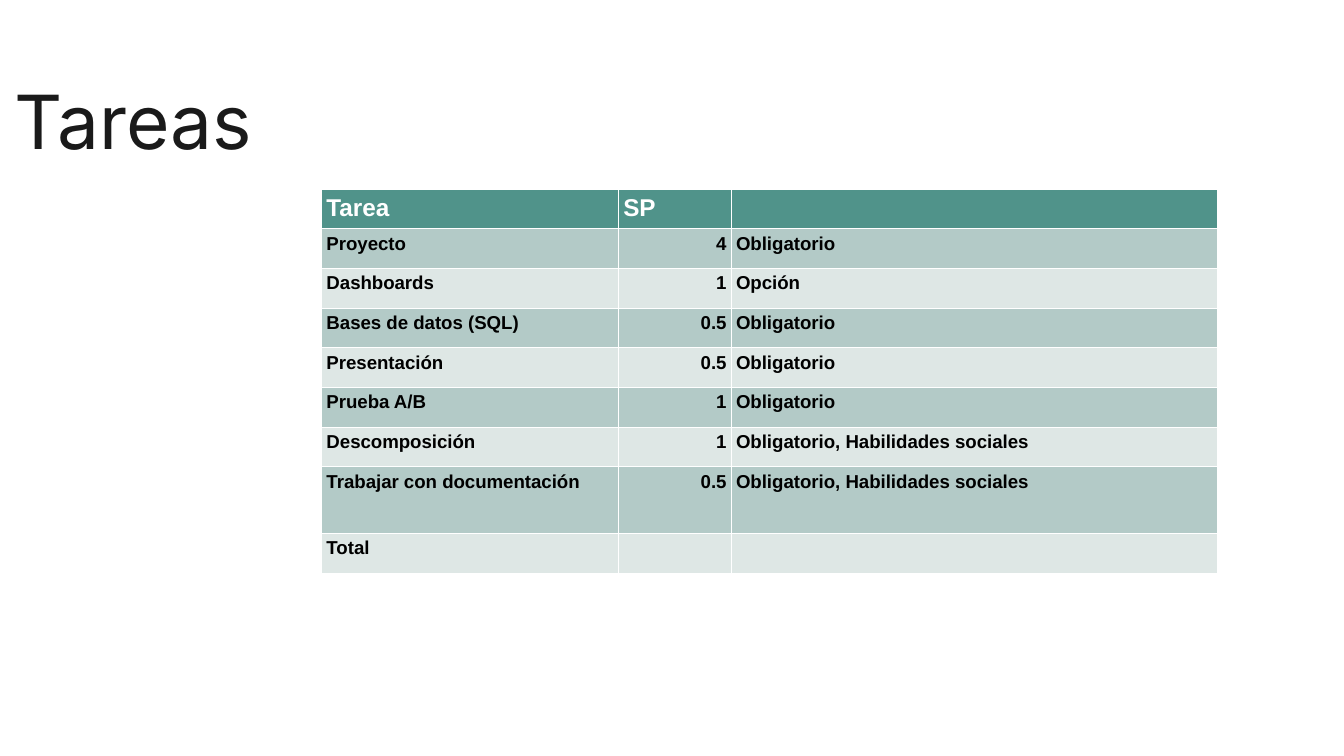
from typing import NamedTuple

from lxml.etree import SubElement
from pptx import Presentation
from pptx.dml.color import RGBColor
from pptx.enum.text import MSO_ANCHOR, PP_ALIGN
from pptx.oxml.ns import qn
from pptx.util import Cm, Pt

HEADER_FILL = "50938A"
BAND_FILLS = ("B3CAC7", "DEE7E5")
WHITE = "FFFFFF"
BLACK = "000000"
TITLE_COLOR = "1A1A1A"
COLUMN_WIDTHS = (5.61, 2.13, 9.18)
HEADER_HEIGHT, TASK_HEIGHT, TALL_HEIGHT = 0.7, 0.75, 1.26
CELL_MARGIN = 0.09
BORDER_WIDTH = Pt(0.57)


class Task(NamedTuple):
    name: str
    points: str = ""
    category: str = ""
    height: float = TASK_HEIGHT


class RowStyle(NamedTuple):
    fill: str
    color: str
    size: int
    points_alignment: PP_ALIGN


HEADER = Task("Tarea", "SP", height=HEADER_HEIGHT)
TASKS = (
    Task("Proyecto", "4", "Obligatorio"),
    Task("Dashboards", "1", "Opción"),
    Task("Bases de datos (SQL)", "0.5", "Obligatorio"),
    Task("Presentación", "0.5", "Obligatorio"),
    Task("Prueba A/B", "1", "Obligatorio"),
    Task("Descomposición", "1", "Obligatorio, Habilidades sociales"),
    Task("Trabajar con documentación", "0.5",
         "Obligatorio, Habilidades sociales", TALL_HEIGHT),
    Task("Total"),
)


def hex_color(value: str) -> RGBColor:
    return RGBColor.from_string(value)


def format_runs(paragraph, font_name: str, size: int, color: str, bold: bool) -> None:
    for run in paragraph.runs:
        run.font.name = font_name
        run.font.size = Pt(size)
        run.font.bold = bold
        run.font.color.rgb = hex_color(color)


def add_borders(cell) -> None:
    properties = cell._tc.get_or_add_tcPr()
    for position, side in enumerate(("lnL", "lnR", "lnT", "lnB")):
        line = SubElement(properties, qn(f"a:{side}"), w=str(BORDER_WIDTH))
        line_fill = SubElement(line, qn("a:solidFill"))
        SubElement(line_fill, qn("a:srgbClr"), val=WHITE)
        properties.insert(position, line)


def fill_cell(cell, text: str, style: RowStyle, alignment: PP_ALIGN) -> None:
    cell.margin_left = cell.margin_right = Cm(CELL_MARGIN)
    cell.margin_top = cell.margin_bottom = Cm(CELL_MARGIN)
    cell.vertical_anchor = MSO_ANCHOR.TOP
    cell.fill.solid()
    cell.fill.fore_color.rgb = hex_color(style.fill)
    add_borders(cell)
    cell.text_frame.text = text
    paragraph = cell.text_frame.paragraphs[0]
    paragraph.alignment = alignment
    format_runs(paragraph, "Arial", style.size, style.color, True)
    if not text:
        SubElement(paragraph._p, qn("a:endParaRPr"), sz=str(style.size * 100))


def fill_row(table, index: int, task: Task, style: RowStyle) -> None:
    table.rows[index].height = Cm(task.height)
    alignments = (PP_ALIGN.LEFT, style.points_alignment, PP_ALIGN.LEFT)
    texts = (task.name, task.points, task.category)
    for column, (text, alignment) in enumerate(zip(texts, alignments)):
        fill_cell(table.cell(index, column), text, style, alignment)


def add_task_table(slide) -> None:
    rows = (HEADER, *TASKS)
    table = slide.shapes.add_table(
        len(rows), len(COLUMN_WIDTHS), Cm(6.08), Cm(3.59),
        Cm(sum(COLUMN_WIDTHS)), Cm(sum(row.height for row in rows)),
    ).table
    for column, width in zip(table.columns, COLUMN_WIDTHS):
        column.width = Cm(width)
    fill_row(table, 0, HEADER, RowStyle(HEADER_FILL, WHITE, 13, PP_ALIGN.LEFT))
    for index, task in enumerate(TASKS):
        fill = BAND_FILLS[index % len(BAND_FILLS)]
        fill_row(table, index + 1, task, RowStyle(fill, BLACK, 10, PP_ALIGN.RIGHT))


def add_title(slide, text: str) -> None:
    shape = slide.shapes.add_textbox(Cm(0.28), Cm(1.17), Cm(23.65), Cm(2.9))
    text_frame = shape.text_frame
    text_frame.word_wrap = True
    text_frame.margin_left = text_frame.margin_right = 0
    text_frame.margin_top = text_frame.margin_bottom = Cm(0.25)
    text_frame.text = text
    format_runs(text_frame.paragraphs[0], "Inter", 40, TITLE_COLOR, False)


def main() -> None:
    presentation = Presentation()
    presentation.slide_width = Cm(25.4)
    presentation.slide_height = Cm(14.29)
    slide = presentation.slides.add_slide(presentation.slide_layouts[6])
    slide.background.fill.solid()
    slide.background.fill.fore_color.rgb = hex_color(WHITE)
    add_title(slide, "Tareas")
    add_task_table(slide)
    presentation.save("out.pptx")


if __name__ == "__main__":
    main()
